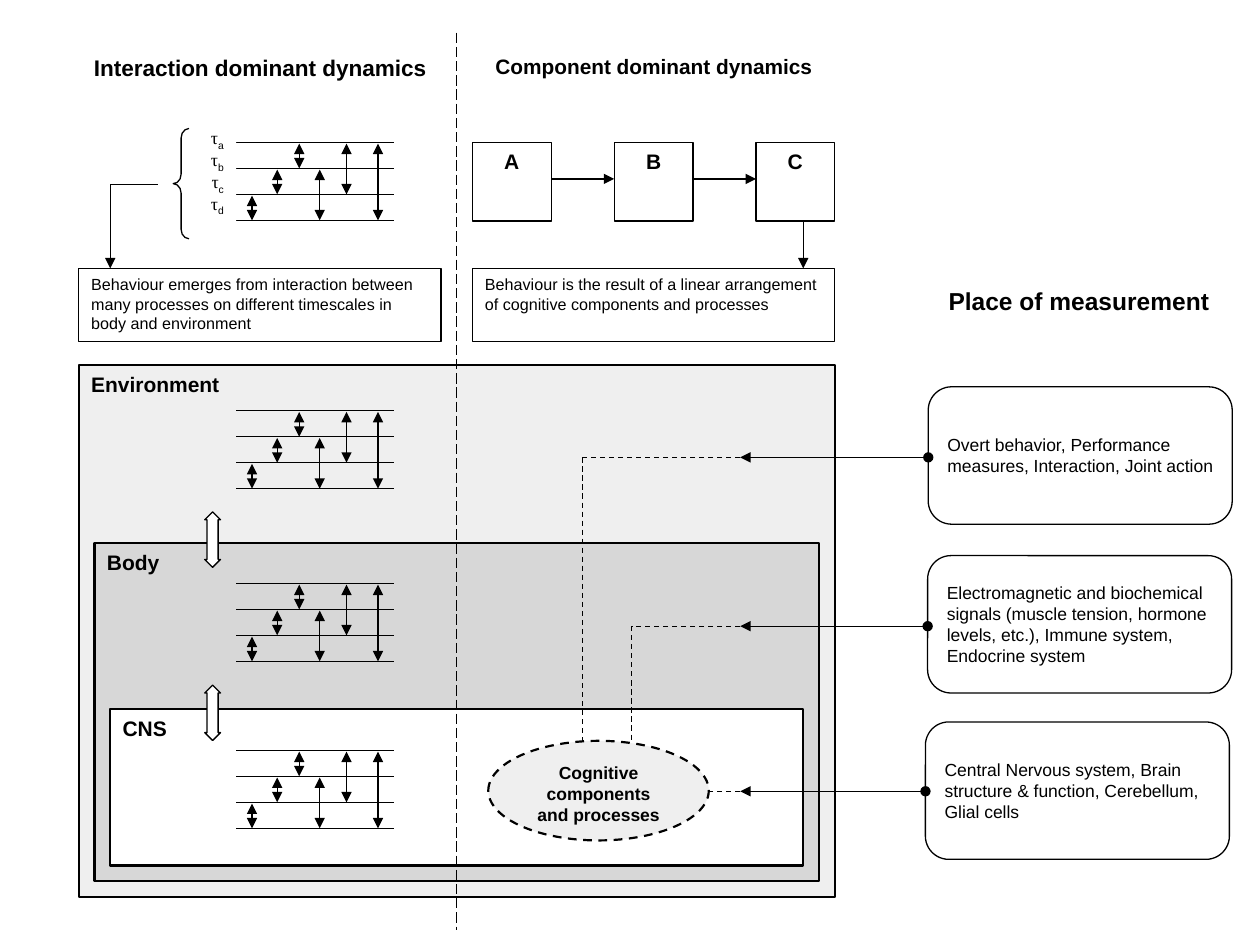
"""Build a slide comparing interaction dominant and component dominant dynamics."""
from lxml import etree
from pptx import Presentation
from pptx import util as u
from pptx.dml.color import RGBColor
from pptx.enum import dml, shapes, text
from pptx.oxml import ns

COLORS = {"ink": "000000", "paper": "FFFFFF", "grey": "C0C0C0"}
KINDS = shapes.MSO_SHAPE
LEFT, CENTER, RIGHT = text.PP_ALIGN.LEFT, text.PP_ALIGN.CENTER, text.PP_ALIGN.RIGHT
TOP, MIDDLE = text.MSO_ANCHOR.TOP, text.MSO_ANCHOR.MIDDLE
DASH, LONG_DASH = dml.MSO_LINE.DASH, dml.MSO_LINE.LONG_DASH
THIN, THICK = 0.74, 1.25


def grid(n):
    """Turn columns or rows of an 80 by 60 grid into a length."""
    return u.Inches(n / 8)


def color(name):
    """Look up a named colour."""
    return RGBColor.from_string(COLORS[name])


def child(parent, tag, **attrs):
    """Append a drawing element to a parent element."""
    return etree.SubElement(parent, ns.qn(tag), **attrs)


def add_run(p, words, size, bold=False, font="Arial", baseline=None):
    """Add one formatted run to a paragraph."""
    r = p.add_run()
    r.text = words
    r.font.size, r.font.bold, r.font.name = u.Pt(size), bold, font
    r.font.color.rgb = color("ink")
    if baseline:
        r.font._element.set("baseline", str(baseline))


def write(sp, words, size, bold=False, align=LEFT, anchor=TOP):
    """Write one paragraph into a shape."""
    tf = sp.text_frame
    tf.word_wrap, tf.vertical_anchor = True, anchor
    p = tf.paragraphs[0]
    p.alignment = align
    add_run(p, words, size, bold)


def add_box(s, at, kind=KINDS.RECTANGLE, fill="paper", alpha=None, width=THIN, dash=None, adj=()):
    """Add an outlined preset shape."""
    sp = s.shapes.add_shape(kind, *map(grid, at))
    sp.shadow.inherit = False
    if fill:
        sp.fill.solid()
        sp.fill.fore_color.rgb = color(fill)
    else:
        sp.fill.background()
    if alpha:
        rgb = sp.fill._xPr.find(".//" + ns.qn("a:srgbClr"))
        child(rgb, "a:alpha", val=str(alpha * 1000))
    if width:
        sp.line.color.rgb, sp.line.width = color("ink"), u.Pt(width)
        if dash:
            sp.line.dash_style = dash
    else:
        sp.line.fill.background()
    for i, value in enumerate(adj):
        sp.adjustments[i] = value
    return sp


def add_line(s, x1, y1, x2, y2, head=None, tail=None, dash=None):
    """Add a straight line with optional ends."""
    c = s.shapes.add_connector(shapes.MSO_CONNECTOR.STRAIGHT, *map(grid, (x1, y1, x2, y2)))
    c.line.color.rgb, c.line.width = color("ink"), u.Pt(THIN)
    if dash:
        c.line.dash_style = dash
    ln = c.line._get_or_add_ln()
    for tag, end in (("a:headEnd", head), ("a:tailEnd", tail)):
        if end:
            child(ln, tag, type=end)
    child(c._element.spPr, "a:effectLst")


def add_title(s, at, words, size):
    """Add a bold centred heading."""
    write(s.shapes.add_textbox(*map(grid, at)), words, size, True, CENTER)


def add_timescales(s, top):
    """Add four timescale lines and the interactions between them."""
    levels = [top + 1.65 * i for i in range(4)]
    for y in levels:
        add_line(s, 15, y, 25, y)
    for x, low, high in ((16, 3, 2), (17.6, 2, 1), (19, 1, 0), (20.3, 3, 1), (22, 2, 0), (24, 3, 0)):
        add_line(s, x, levels[low], x, levels[high] + 0.08, "triangle", "triangle")


def add_layers(s):
    """Add the nested environment, body and nervous system."""
    for words, at, fill, alpha in (
        ("Environment", (5, 23.2, 48, 33.76), "grey", 25),
        ("Body", (6, 34.5, 46, 21.44), "grey", 50),
        ("CNS", (7, 45.04, 44, 9.92), "paper", None),
    ):
        write(add_box(s, at, fill=fill, alpha=alpha, width=THICK), words, 12, True)
    for y in (32.5, 43.5):
        add_box(s, (13, y, 1, 3.52), KINDS.UP_DOWN_ARROW, adj=(0.5, 0.7))
    for top in (26.08, 37.04, 47.64):
        add_timescales(s, top)
    ellipse = add_box(s, (31, 47.04, 14, 6.32), KINDS.OVAL, "grey", 25, THICK, DASH)
    write(ellipse, "Cognitive components and processes", 10, True, CENTER)


def add_measurements(s):
    """Add the places of measurement and what they point to."""
    add_title(s, (57, 17.76, 23, 3), "Place of measurement", 14)
    for words, x, top, y, end in (
        ("Overt behavior, Performance measures, Interaction, Joint action", 58.94, 24.56, 29.04, 37),
        ("Electromagnetic and biochemical signals (muscle tension, hormone levels, etc.), "
         "Immune system, Endocrine system", 58.9, 35.28, 39.76, 40.1),
        ("Central Nervous system, Brain structure & function, Cerebellum, Glial cells",
         58.76, 45.84, 50.24, 45),
    ):
        box = add_box(s, (x, top, 19.3, 8.72), KINDS.ROUNDED_RECTANGLE, None, adj=(0.17,))
        write(box, words, 10, anchor=MIDDLE)
        add_line(s, 47, y, x, y, "triangle", "oval")
        add_line(s, 47, y, end, y, dash=DASH)
        if end < 45:
            add_line(s, end, y, end, 47.04, dash=DASH)


def add_interaction(s):
    """Add the interaction dominant side."""
    add_title(s, (5, 3, 23, 3), "Interaction dominant dynamics", 12.9)
    add_timescales(s, 9.04)
    tf = add_box(s, (12, 7.68, 3, 7), width=None).text_frame
    tf.word_wrap, tf.vertical_anchor = True, TOP
    for i, index in enumerate("abcd"):
        p = tf.add_paragraph() if i else tf.paragraphs[0]
        p.alignment, p.line_spacing = RIGHT, 0.9
        add_run(p, "τ", 10.2, font="Times New Roman")
        add_run(p, index, 10.2, baseline=-25000)
    add_box(s, (11, 8.16, 1, 7), KINDS.LEFT_BRACE, None, adj=(0.6, 0.5))
    add_line(s, 7, 11.7, 10, 11.7)
    add_line(s, 7, 11.7, 7, 17.04, tail="triangle")
    write(add_box(s, (5, 17.04, 23, 4.64)), "Behaviour emerges from interaction between many "
          "processes on different timescales in body and environment", 9.2)


def add_components(s):
    """Add the component dominant side."""
    add_title(s, (30, 3, 23, 3), "Component dominant dynamics", 11.9)
    for i, name in enumerate("ABC"):
        x = 30 + 9 * i
        write(add_box(s, (x, 9.04, 5, 5)), name, 12, True, CENTER)
        if i:
            add_line(s, x - 4, 11.36, x, 11.36, tail="triangle")
    add_line(s, 51, 14.04, 51, 17.04, tail="triangle")
    write(add_box(s, (30, 17.04, 23, 4.64)), "Behaviour is the result of a linear arrangement "
          "of cognitive components and processes", 9.2)


def main():
    """Build and save the slide."""
    prs = Presentation()
    prs.slide_width, prs.slide_height = grid(80), grid(60)
    s = prs.slides.add_slide(prs.slide_layouts[6])
    add_layers(s)
    add_line(s, 29, 2.08, 29, 59.04, dash=LONG_DASH)
    add_interaction(s)
    add_components(s)
    add_measurements(s)
    prs.save("out.pptx")


main()
